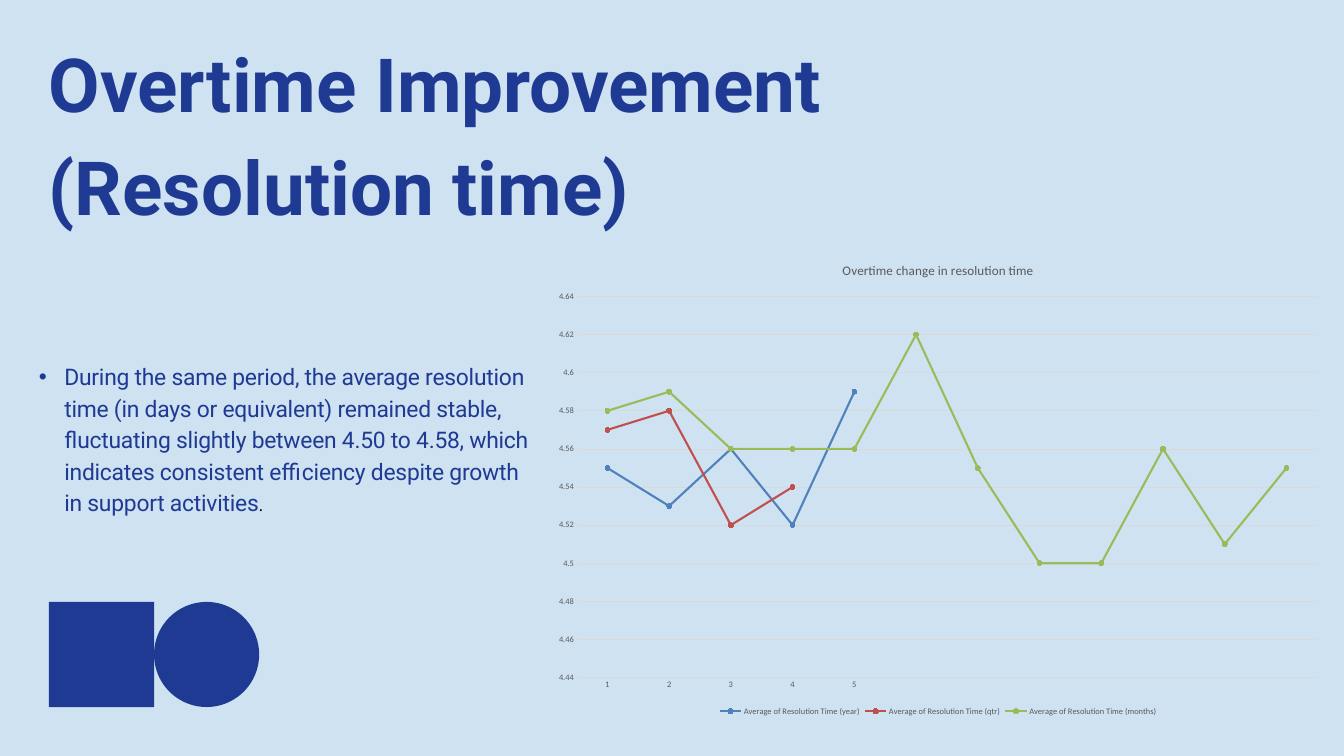
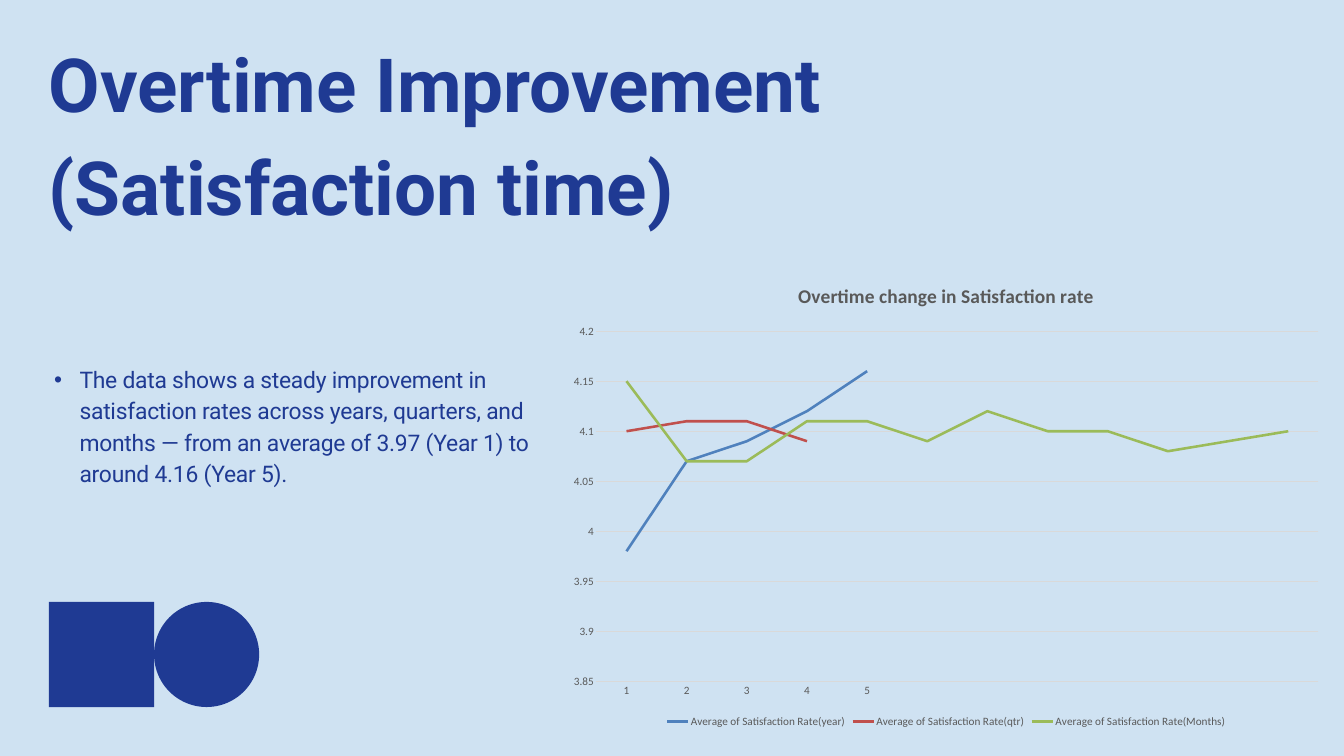
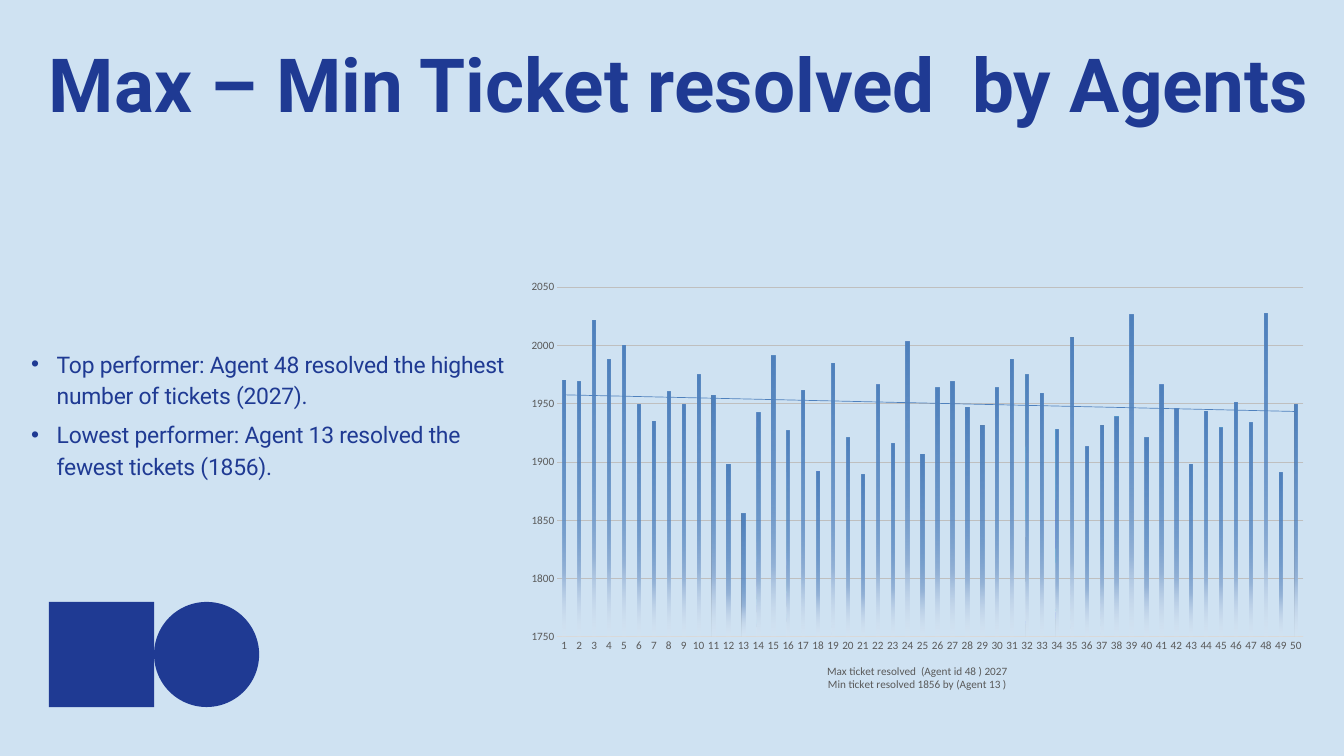
from lxml.etree import SubElement
from pptx import Presentation
from pptx.chart.data import CategoryChartData
from pptx.dml.color import RGBColor
from pptx.enum.chart import (XL_CHART_TYPE, XL_LEGEND_POSITION,
                             XL_MARKER_STYLE, XL_TICK_MARK)
from pptx.enum.shapes import MSO_SHAPE
from pptx.enum.text import MSO_AUTO_SIZE
from pptx.oxml import parse_xml
from pptx.oxml.ns import nsdecls, qn
from pptx.util import Inches, Pt

WIDE, HIGH = Inches(20), Inches(11.25)
SKY, NAVY, GREY, PALE = "CFE2F2", "1F3A93", "595959", "D9D9D9"
BLUE, RED, GREEN = "4F81BD", "C0504D", "9BBB59"
HEAD, PLAIN = "Roboto", "Calibri"

# Values by year, quarter and month
TIMES = {
    "Average of Resolution Time (year)": [4.55, 4.53, 4.56, 4.52, 4.59],
    "Average of Resolution Time (qtr)": [4.57, 4.58, 4.52, 4.54],
    "Average of Resolution Time (months)": [
        4.58, 4.59, 4.56, 4.56, 4.56, 4.62, 4.55, 4.5, 4.5, 4.56, 4.51, 4.55],
}
RATES = {
    "Average of Satisfaction Rate(year)": [3.98, 4.07, 4.09, 4.12, 4.16],
    "Average of Satisfaction Rate(qtr)": [4.1, 4.11, 4.11, 4.09],
    "Average of Satisfaction Rate(Months)": [
        4.15, 4.07, 4.07, 4.11, 4.11, 4.09, 4.12, 4.1, 4.1, 4.08, 4.09, 4.1],
}
# Tickets resolved by agents 1 to 50
TICKETS = {"Series 1": [
    1970, 1969, 2021, 1988, 2000, 1949, 1935, 1960, 1949, 1975,
    1957, 1898, 1856, 1942, 1991, 1927, 1961, 1892, 1984, 1921,
    1889, 1966, 1916, 2003, 1906, 1964, 1969, 1947, 1931, 1964,
    1988, 1975, 1959, 1928, 2007, 1913, 1931, 1939, 2026, 1921,
    1966, 1946, 1898, 1943, 1929, 1951, 1934, 2027, 1891, 1949]}


def rgb(code):
    return RGBColor.from_string(code)


def box(x, y, w, h):
    """Turn percentages of the slide into lengths."""
    return [int(part * side / 100) for part, side in
            zip((x, y, w, h), (WIDE, HIGH, WIDE, HIGH))]


def ink(font, size, color=GREY, bold=False, face=PLAIN):
    font.size, font.bold, font.name = Pt(size), bold, face
    font.color.rgb = rgb(color)


def stroke(line, color, width):
    line.color.rgb = rgb(color)
    line.width = Pt(width)


def text(slide, place, lines, size=24.5, color=NAVY, bold=False, face=HEAD,
         bullet=False, pitch=0, inset=None):
    frame = slide.shapes.add_textbox(*box(*place)).text_frame
    frame.word_wrap = True
    frame.auto_size = MSO_AUTO_SIZE.SHAPE_TO_FIT_TEXT
    if inset:
        (frame.margin_left, frame.margin_top,
         frame.margin_right, frame.margin_bottom) = map(Inches, inset)
    frame.text = "\n".join(lines)
    for para in frame.paragraphs:
        para.line_spacing, para.space_after = 1.15, Pt(8)
        for run in para.runs:
            ink(run.font, size, color, bold, face)
            if pitch:
                run.font._element.set("spc", str(int(pitch * 100)))
        if bullet:
            props = para._p.get_or_add_pPr()
            props.set("marL", str(Inches(0.38)))
            props.set("indent", str(-Inches(0.38)))
            SubElement(props, qn("a:buFont"), typeface="Arial")
            SubElement(props, qn("a:buChar"), char="•")
    return frame


def block(slide, kind, place, color):
    shape = slide.shapes.add_shape(kind, *box(*place))
    shape.shadow.inherit = False
    shape.fill.solid()
    shape.fill.fore_color.rgb = rgb(color)
    shape.line.fill.background()


def page(deck, title, rows=1):
    """Add a slide: backdrop, title, square and disc in the corner."""
    slide = deck.slides.add_slide(deck.slide_layouts[6])
    block(slide, MSO_SHAPE.RECTANGLE, (0, 0, 100, 100), SKY)
    text(slide, (3.63, 1.96, 95.6, 14.31 * rows), [title], size=80,
         bold=True, inset=(0, 0.14, 0, 0))
    side = 7.82
    for step, kind in enumerate((MSO_SHAPE.RECTANGLE, MSO_SHAPE.OVAL)):
        block(slide, kind, (3.64 + step * side, 79.62, side,
                            side * WIDE / HIGH), NAVY)
    return slide


def notes(slide, place, lines):
    return text(slide, place, lines, bullet=True, pitch=-0.25)


def frame_plot(chart, area):
    """Place the inner plot by percentages of the chart."""
    plot = chart._chartSpace.chart.plotArea
    for old in plot.findall(qn("c:layout")):
        plot.remove(old)
    parts = "".join(f'<c:{key} val="{val / 100:.4f}"/>'
                    for key, val in zip("xywh", area))
    plot.insert(0, parse_xml(
        f'<c:layout {nsdecls("c")}><c:manualLayout>'
        '<c:layoutTarget val="inner"/><c:xMode val="edge"/>'
        f'<c:yMode val="edge"/>{parts}</c:manualLayout></c:layout>'))


def graph(slide, kind, place, data, scale, area, size, grid=PALE, base=0.75):
    """Add a chart; scale is the low, the high and the step."""
    count = max(map(len, data.values()))
    table = CategoryChartData()
    table.categories = [str(n + 1) for n in range(count)]
    for name, vals in data.items():
        table.add_series(name, vals + [None] * (count - len(vals)))
    chart = slide.shapes.add_chart(kind, *box(*place), table).chart
    ink(chart.font, 10, "000000")
    chart.has_title = chart.has_legend = False
    cat, val = chart.category_axis, chart.value_axis
    for axis in (cat, val):
        axis.major_tick_mark = axis.minor_tick_mark = XL_TICK_MARK.NONE
        ink(axis.tick_labels.font, size)
    stroke(cat.format.line, PALE, base)
    val.format.line.fill.background()
    val.minimum_scale, val.maximum_scale, val.major_unit = scale
    val.tick_labels.number_format = "General"
    val.tick_labels.number_format_is_linked = False
    stroke(val.major_gridlines.format.line, grid, 0.75)
    chart.plots[0].vary_by_categories = False
    frame_plot(chart, area)
    return chart


def trend(chart, title, size, bold, small, width, dots=False):
    """Finish a line chart: title, legend and series."""
    chart.has_title = chart.has_legend = True
    frame = chart.chart_title.text_frame
    frame.text = title
    ink(frame.paragraphs[0].runs[0].font, size, bold=bold)
    chart.chart_title.include_in_layout = False
    chart.legend.position = XL_LEGEND_POSITION.BOTTOM
    chart.legend.include_in_layout = False
    ink(chart.legend.font, small)
    for row, color in zip(chart.plots[0].series, (BLUE, RED, GREEN)):
        row.smooth = False
        stroke(row.format.line, color, width)
        if dots:
            row.marker.style, row.marker.size = XL_MARKER_STYLE.CIRCLE, 5
            row.marker.format.fill.solid()
            row.marker.format.fill.fore_color.rgb = rgb(color)
            stroke(row.marker.format.line, color, 0.75)
    # The axis labels come from the first series, which has only five years
    cache = chart.plots[0].series[0]._element.cat.find(".//" + qn("c:ptCount"))
    cache.set("val", "5")
    for point in cache.getparent().findall(qn("c:pt"))[5:]:
        cache.getparent().remove(point)


def bars(chart, lines):
    """Finish the column chart: fading bars, linear trend, axis title."""
    plot = chart.plots[0]
    plot.gap_width, plot.overlap = 355, -70
    row = plot.series[0]._element
    stops = "".join(
        f'<a:gs pos="{pos}000"><a:srgbClr val="{color}">'
        f'<a:alpha val="{alpha}000"/></a:srgbClr></a:gs>'
        for pos, color, alpha in ((0, BLUE, 100), (51, BLUE, 75),
                                  (75, "95B3D7", 100), (100, "DCE6F2", 15)))
    row.get_or_add_spPr().insert(0, parse_xml(
        f'<a:gradFill {nsdecls("a")}><a:gsLst>{stops}</a:gsLst>'
        '<a:lin ang="5400000" scaled="0"/></a:gradFill>'))
    row.cat.addprevious(parse_xml(
        f'<c:trendline {nsdecls("c", "a")}><c:spPr><a:ln w="{Pt(0.75)}">'
        f'<a:solidFill><a:srgbClr val="{BLUE}"/></a:solidFill></a:ln></c:spPr>'
        '<c:trendlineType val="linear"/><c:dispRSqr val="0"/>'
        '<c:dispEq val="0"/></c:trendline>'))
    frame = chart.category_axis.axis_title.text_frame
    frame.text = "\n".join(lines)
    for para in frame.paragraphs:
        ink(para.runs[0].font, 12)


def main():
    deck = Presentation()
    deck.slide_width, deck.slide_height = WIDE, HIGH

    # Resolution time
    slide = page(deck, "Overtime Improvement\v(Resolution time)", rows=2.1)
    body = notes(slide, (2.4, 47.02, 38, 21.6), [
        "During the same period, the average resolution time (in days or "
        "equivalent) remained stable, fluctuating slightly between 4.50 to "
        "4.58, which indicates consistent efficiency despite growth in "
        "support activities"])
    stop = body.paragraphs[0].add_run()
    stop.text = "."
    ink(stop.font, 18, "000000")
    chart = graph(slide, XL_CHART_TYPE.LINE_MARKERS,
                  (40.4, 32.53, 58.8, 62.58), TIMES, (4.44, 4.64, 0.02),
                  (4.25, 10.7, 93.75, 80.55), 9)
    trend(chart, "Overtime change in resolution time", 14, False, 9, 2.25,
          dots=True)

    # Satisfaction rate
    slide = page(deck, "Overtime Improvement\v(Satisfaction time)", rows=2.1)
    notes(slide, (3.53, 47.36, 38, 17.42), [
        "The data shows a steady improvement in satisfaction rates across "
        "years, quarters, and months — from an average of 3.97 (Year 1) to "
        "around 4.16 (Year 5)."])
    chart = graph(slide, XL_CHART_TYPE.LINE, (41.55, 35.2, 57.7, 61.51),
                  RATES, (3.85, 4.2, 0.05), (4.9, 14, 93.1, 75.3), 12,
                  base=1)
    trend(chart, "Overtime change in Satisfaction rate", 20.8, True, 12, 2.75)

    # Tickets by agent
    slide = page(deck, "Max – Min Ticket resolved  by Agents")
    notes(slide, (1.83, 45.36, 38, 18.4), [
        "Top performer: Agent 48 resolved the highest number of tickets "
        "(2027).",
        "Lowest performer: Agent 13 resolved the fewest tickets (1856)."])
    chart = graph(slide, XL_CHART_TYPE.COLUMN_CLUSTERED,
                  (38.35, 36, 59.85, 57.42), TICKETS, (1750, 2050, 50),
                  (5.15, 3.45, 92.8, 80.55), 12, grid="BFBFBF")
    bars(chart, ["Max ticket resolved  (Agent id 48 ) 2027",
                 "Min ticket resolved 1856 by (Agent 13 )"])

    deck.save("out.pptx")


if __name__ == "__main__":
    main()
